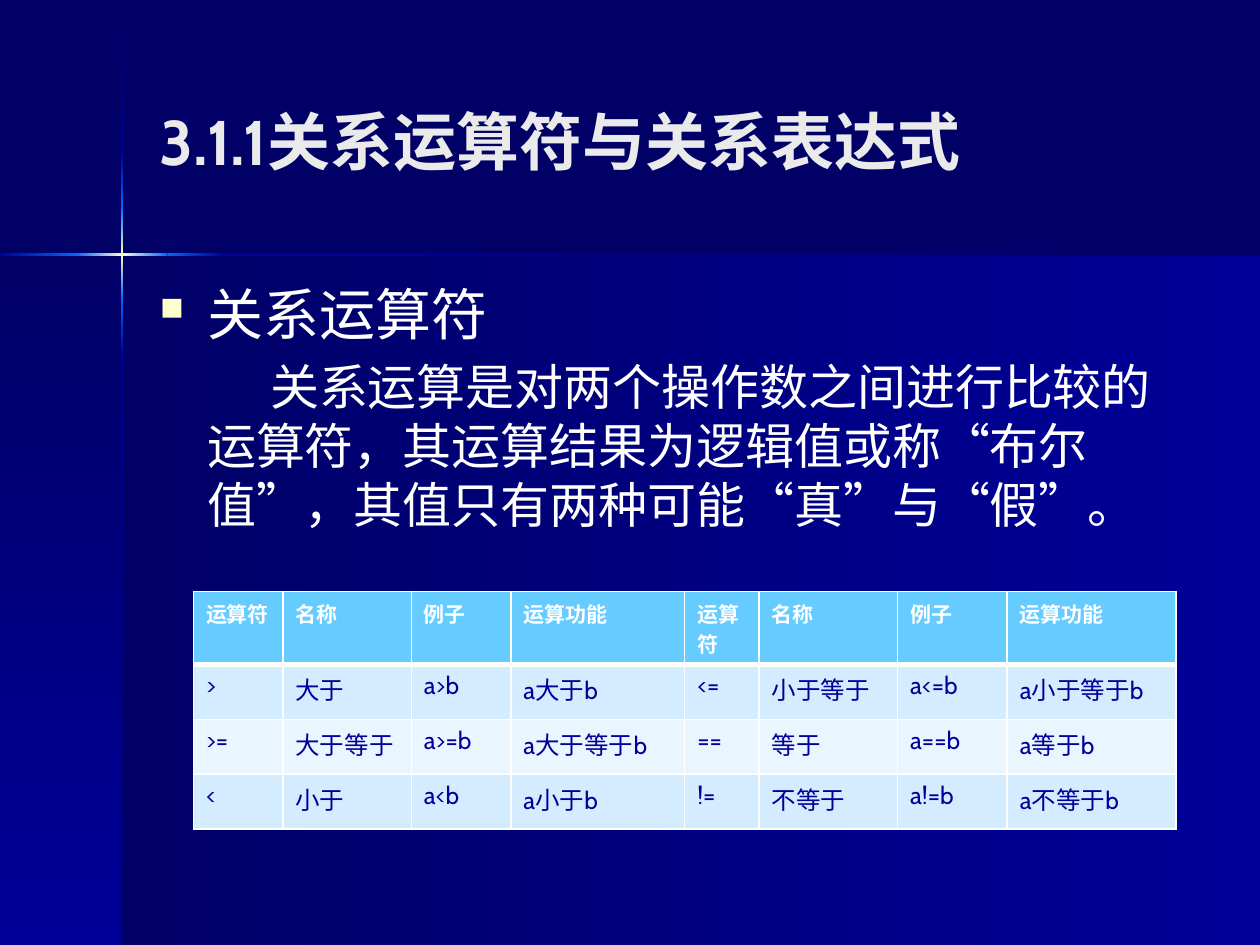
from dataclasses import dataclass

from lxml.etree import SubElement
from pptx import Presentation
from pptx.dml.color import RGBColor
from pptx.enum.shapes import MSO_SHAPE as Preset
from pptx.enum.text import MSO_ANCHOR as Anchor
from pptx.oxml.ns import qn
from pptx.util import Inches, Pt


@dataclass(frozen=True)
class Theme:
    font: str = "Cabin"
    night: str = "000066"
    navy: str = "000099"
    glow: str = "0066FF"
    spark: str = "FFFFCC"
    title: str = "EAEAEA"
    white: str = "FFFFFF"
    header: str = "66CCFF"
    bands: tuple = ("D3ECFF", "EAF6FF")
    title_size: int = 36
    topic_size: int = 32
    body_size: int = 28
    header_size: int = 12
    cell_size: int = 14
    bullet_percent: int = 58


@dataclass(frozen=True)
class Area:
    column: float
    row: float
    columns: float
    rows: float

    def place(self) -> tuple:
        return tuple(map(unit, (self.column, self.row, self.columns, self.rows)))


@dataclass(frozen=True)
class Panel:
    area: Area
    colors: tuple
    angle: int


THEME = Theme()
GRID_COLUMNS, GRID_ROWS = 100, 75
BEAM = 0.2
CROSS_X, CROSS_Y = 9.7, 20.2

FADE_IN = (THEME.navy, THEME.glow)
FLARE = (THEME.glow, THEME.spark, THEME.glow)
FADE_OUT = (THEME.glow, THEME.navy)
DUSK = (THEME.night, THEME.navy)
DAWN = (THEME.navy, THEME.night)

BACKDROP = [
    Panel(Area(CROSS_X, CROSS_Y, GRID_COLUMNS - CROSS_X, GRID_ROWS - CROSS_Y), DUSK, 0),
    Panel(Area(0, CROSS_Y, CROSS_X, GRID_ROWS - CROSS_Y), DUSK, 90),
]
VERTICAL_STOPS = (0.1, 12.1, 16.5, 23.8, 28.2, GRID_ROWS)
VERTICAL_COLORS = (DUSK, FADE_IN, FLARE, FADE_OUT, DAWN)
HORIZONTAL_STOPS = (0, 6.1, 13.3, 17.7, GRID_COLUMNS)
HORIZONTAL_COLORS = (FADE_IN, FLARE, FADE_OUT, DAWN)

TITLE_AREA = Area(11.7, 3.3, 82.5, 15.7)
BODY_AREA = Area(11.7, 21.7, 82.5, 45)
TABLE_COLUMNS = (7.1, 10.2, 7.9, 13.8, 5.9, 11, 8.7, 13.4)
TABLE_ROWS = (5.8, 4.35, 4.35, 4.35)
TABLE_AREA = Area(15.35, 46.95, sum(TABLE_COLUMNS), sum(TABLE_ROWS))
TABLE_TEXT = [
    ("运算符", "名称", "例子", "运算功能") * 2,
    (">", "大于", "a>b", "a大于b", "<=", "小于等于", "a<=b", "a小于等于b"),
    (">=", "大于等于", "a>=b", "a大于等于b", "==", "等于", "a==b", "a等于b"),
    ("<", "小于", "a<b", "a小于b", "!=", "不等于", "a!=b", "a不等于b"),
]


def unit(count: float) -> int:
    return Inches(count / 10)


def beams() -> list[Panel]:
    vertical = [
        Panel(Area(CROSS_X - BEAM / 2, start, BEAM, end - start), colors, 90)
        for start, end, colors in zip(VERTICAL_STOPS, VERTICAL_STOPS[1:], VERTICAL_COLORS)
    ]
    horizontal = [
        Panel(Area(start, CROSS_Y - BEAM / 2, end - start, BEAM), colors, 0)
        for start, end, colors in zip(HORIZONTAL_STOPS, HORIZONTAL_STOPS[1:], HORIZONTAL_COLORS)
    ]
    return vertical + horizontal


def draw_panel(page, panel: Panel) -> None:
    shape = page.shapes.add_shape(Preset.RECTANGLE, *panel.area.place())
    shape.shadow.inherit = False
    shape.line.fill.background()
    shape.fill.gradient()
    gradient = shape._element.spPr.find(qn("a:gradFill"))
    for child in list(gradient):
        gradient.remove(child)
    stops = SubElement(gradient, qn("a:gsLst"))
    for index, color in enumerate(panel.colors):
        position = index * 100000 // (len(panel.colors) - 1)
        stop = SubElement(stops, qn("a:gs"), pos=str(position))
        SubElement(stop, qn("a:srgbClr"), val=color)
    SubElement(gradient, qn("a:lin"), ang=str(panel.angle * 60000), scaled="0")


def write(para, text: str, *, size: int, color: str, bold: bool = False, before: float = 0) -> None:
    para.space_before = Pt(before)
    span = para.add_run()
    span.text = text
    span.font.name = THEME.font
    span.font.size = Pt(size)
    span.font.bold = bold
    span.font.color.rgb = RGBColor.from_string(color)
    span._r.get_or_add_rPr().set("lang", "zh-CN")


def indent(para, margin: float, first: float, bullet: str = "") -> None:
    props = para._p.get_or_add_pPr()
    props.set("marL", str(unit(margin)))
    props.set("indent", str(unit(first)))
    if bullet:
        color = SubElement(props, qn("a:buClr"))
        SubElement(color, qn("a:srgbClr"), val=THEME.spark)
        SubElement(props, qn("a:buSzPct"), val=str(THEME.bullet_percent * 1000))
        SubElement(props, qn("a:buChar"), char=bullet)


def add_box(page, area: Area, anchor):
    frame = page.shapes.add_textbox(*area.place()).text_frame
    frame.word_wrap = True
    frame.vertical_anchor = anchor
    return frame


def draw_text(page) -> None:
    title = add_box(page, TITLE_AREA, Anchor.MIDDLE)
    write(title.paragraphs[0], "3.1.1关系运算符与关系表达式",
          size=THEME.title_size, color=THEME.title, bold=True)

    body = add_box(page, BODY_AREA, Anchor.TOP)
    topic, detail = body.paragraphs[0], body.add_paragraph()
    write(topic, "关系运算符", size=THEME.topic_size, color=THEME.white, before=6.4)
    indent(topic, 3.75, -3.75, "■")
    write(detail,
          "关系运算是对两个操作数之间进行比较的运算符，其运算结果为逻辑值或称“布尔值”，"
          "其值只有两种可能“真”与“假”。",
          size=THEME.body_size, color=THEME.white, before=5.6)
    indent(detail, 3.75, 5)


def add_borders(cell, top: int, bottom: int) -> None:
    props = cell._tc.get_or_add_tcPr()
    for side, width in (("L", 1), ("R", 1), ("T", top), ("B", bottom)):
        line = SubElement(props, qn(f"a:ln{side}"), w=str(Pt(width)))
        fill = SubElement(line, qn("a:solidFill"))
        SubElement(fill, qn("a:srgbClr"), val=THEME.white)


def draw_table(page) -> None:
    frame = page.shapes.add_table(len(TABLE_ROWS), len(TABLE_COLUMNS), *TABLE_AREA.place())
    table = frame.table
    table.horz_banding = False
    for column, width in zip(table.columns, TABLE_COLUMNS):
        column.width = unit(width)
    for index, (row, height, texts) in enumerate(zip(table.rows, TABLE_ROWS, TABLE_TEXT)):
        row.height = unit(height)
        header = index == 0
        fill = THEME.header if header else THEME.bands[(index - 1) % 2]
        for cell, text in zip(row.cells, texts):
            add_borders(cell, top=3 if index == 1 else 1, bottom=3 if header else 1)
            cell.fill.solid()
            cell.fill.fore_color.rgb = RGBColor.from_string(fill)
            write(cell.text_frame.paragraphs[0], text, bold=header,
                  size=THEME.header_size if header else THEME.cell_size,
                  color=THEME.white if header else THEME.navy)


def main() -> None:
    deck = Presentation()
    deck.slide_width, deck.slide_height = unit(GRID_COLUMNS), unit(GRID_ROWS)
    page = deck.slides.add_slide(deck.slide_layouts[6])
    page.background.fill.solid()
    page.background.fill.fore_color.rgb = RGBColor.from_string(THEME.night)
    for panel in BACKDROP + beams():
        draw_panel(page, panel)
    draw_text(page)
    draw_table(page)
    deck.save("out.pptx")


if __name__ == "__main__":
    main()
